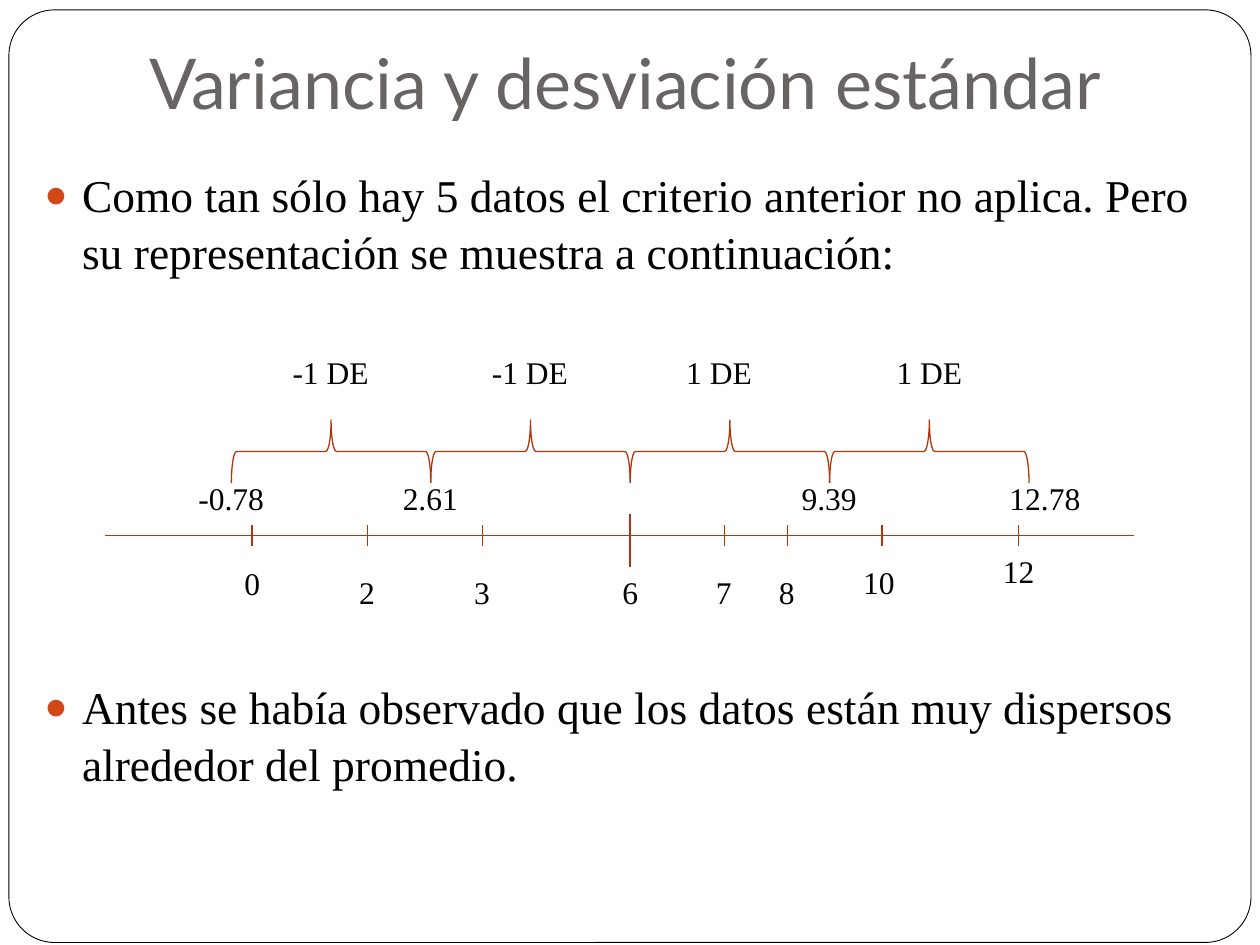
"""Build a slide on variance and standard deviation along a number line."""
from dataclasses import dataclass

from lxml.etree import SubElement
from pptx import Presentation
from pptx.dml.color import RGBColor as RGB
from pptx.enum.shapes import MSO_CONNECTOR as Link, MSO_SHAPE as Form
from pptx.enum.text import MSO_ANCHOR as Anchor, MSO_AUTO_SIZE as Fit, PP_ALIGN as Align
from pptx.oxml.ns import qn
from pptx.util import Cm, Pt


@dataclass(frozen=True)
class Theme:
    ink: str = "000000"
    paper: str = "FFFFFF"
    head: str = "696464"
    dot: str = "D34817"
    rule: str = "B1360B"
    sans: str = "Lato"
    serif: str = "Times New Roman"
    big: float = 40
    text: float = 26
    small: float = 18
    thin: float = 0.75
    edge: float = 0.5


LOOK = Theme()
AXIS = 10.8
STEP = 4.02
START = 4.04
MARKS = [
    ("0", 5.08, 11.25, 1.27, Align.CENTER),
    ("2", 7.41, 11.43, 1.06, Align.LEFT),
    ("3", 9.73, 11.43, 1.06, Align.LEFT),
    ("6", 12.7, 11.43, 1.27, Align.CENTER),
    ("7", 14.6, 11.43, 1.06, Align.LEFT),
    ("8", 15.87, 11.43, 1.06, Align.LEFT),
    ("10", 17.78, 11.22, 1.27, Align.LEFT),
    ("12", 20.53, 11, 1.27, Align.CENTER),
]
SPANS = [("-1 DE", 5.29), ("-1 DE", 9.31), ("1 DE", 13.12), ("1 DE", 17.36)]
BOUNDS = [("-0.78", 3.6, 2.12), ("2.61", 7.83, 1.69),
          ("9.39", 15.87, 1.69), ("12.78", 19.9, 2.33)]
POINTS = [
    ("Como tan sólo hay 5 datos el criterio anterior no aplica. "
     "Pero su representación se muestra a continuación:", 5.8),
    ("Antes se había observado que los datos están muy dispersos "
     "alrededor del promedio.", 227),
]


def place(shape, left, top, width, height):
    """Move and size a shape, in centimetres."""
    shape.left, shape.top = Cm(left), Cm(top)
    shape.width, shape.height = Cm(width), Cm(height)


def style(para, face, size, color):
    """Set the font of a paragraph."""
    font = para.font
    font.name, font.size = face, Pt(size)
    font.color.rgb = RGB.from_string(color)


def stroke(shape, color, width):
    """Set the line of a shape."""
    shape.line.color.rgb = RGB.from_string(color)
    shape.line.width = Pt(width)


def add_frame(slide):
    """Draw the round frame behind the title and the list."""
    frame = slide.shapes.add_shape(Form.ROUNDED_RECTANGLE, Cm(0.18), Cm(0.2), Cm(25.04), Cm(18.8))
    frame.adjustments[0] = 0.049
    frame.shadow.inherit = False
    frame.fill.solid()
    frame.fill.fore_color.rgb = RGB.from_string(LOOK.paper)
    stroke(frame, LOOK.ink, LOOK.edge)
    slide.shapes.title.element.addprevious(frame.element)


def add_title(slide, text):
    """Fill the title placeholder."""
    title = slide.shapes.title
    place(title, 1.27, 0, 22.66, 2.74)
    frame = title.text_frame
    frame.text = text
    frame.auto_size = Fit.NONE
    frame.vertical_anchor = Anchor.BOTTOM
    frame.margin_bottom = Cm(0.25)
    para = frame.paragraphs[0]
    para.alignment = Align.CENTER
    style(para, LOOK.sans, LOOK.big, LOOK.head)


def add_dot(para):
    """Give a paragraph a hanging round bullet."""
    props = para._p.get_or_add_pPr()
    props.set("marL", str(Cm(0.76)))
    props.set("indent", str(-Cm(0.76)))
    tint = SubElement(props, qn("a:buClr"))
    SubElement(tint, qn("a:srgbClr"), val=LOOK.dot)
    SubElement(props, qn("a:buSzPct"), val="85000")
    SubElement(props, qn("a:buChar"), char="●")


def add_list(slide):
    """Fill the body placeholder, leaving room for the number line."""
    body = slide.placeholders[1]
    place(body, 0.64, 3.18, 23.92, 15.24)
    frame = body.text_frame
    frame.text = "\n".join(text for text, _ in POINTS)
    frame.auto_size = Fit.NONE
    for para, (_, gap) in zip(frame.paragraphs, POINTS):
        para.space_before = Pt(gap)
        para.line_spacing = 1.05
        add_dot(para)
        style(para, LOOK.serif, LOOK.text, LOOK.ink)


def add_label(slide, text, left, top, width, align=Align.CENTER):
    """Add a small text label."""
    box = slide.shapes.add_textbox(Cm(left), Cm(top), Cm(width), Cm(1.03))
    frame = box.text_frame
    frame.word_wrap = True
    frame.auto_size = Fit.SHAPE_TO_FIT_TEXT
    frame.text = text
    para = frame.paragraphs[0]
    para.alignment = align
    style(para, LOOK.serif, LOOK.small, LOOK.ink)


def add_line(slide, left, top, right, low):
    """Add a thin straight line."""
    line = slide.shapes.add_connector(Link.STRAIGHT, Cm(left), Cm(top), Cm(right), Cm(low))
    stroke(line, LOOK.rule, LOOK.thin)
    SubElement(line.element.spPr, qn("a:effectLst"))


def add_brace(slide, left):
    """Add a brace that opens down over one deviation."""
    brace = slide.shapes.add_shape(Form.RIGHT_BRACE, Cm(left), Cm(7.09), Cm(1.27), Cm(STEP))
    brace.rotation = 270
    brace.shadow.inherit = False
    brace.fill.background()
    stroke(brace, LOOK.rule, LOOK.thin)


def add_scale(slide):
    """Draw the number line with its ticks, braces and labels."""
    add_line(slide, 2.12, AXIS, 22.86, AXIS)
    for order, (text, left) in enumerate(SPANS):
        add_brace(slide, START + 2 + order * STEP)
        add_label(slide, text, left, 6.99, 2.75)
    for text, left, width in BOUNDS:
        add_label(slide, text, left, 9.53, width)
    for text, spot, top, width, align in MARKS:
        shift = 0.63 if width > 1.2 else 0.42
        add_label(slide, text, spot - shift, top, width, align)
        rise, drop = (0.43, 0.63) if text == "6" else (0.21, 0.21)
        add_line(slide, spot, AXIS - rise, spot, AXIS + drop)


def main():
    """Build and save the slide."""
    deck = Presentation()
    deck.slide_width, deck.slide_height = Cm(25.4), Cm(19.05)
    slide = deck.slides.add_slide(deck.slide_layouts[1])
    add_frame(slide)
    add_title(slide, "Variancia y desviación estándar")
    add_list(slide)
    add_scale(slide)
    deck.save("out.pptx")


if __name__ == "__main__":
    main()
